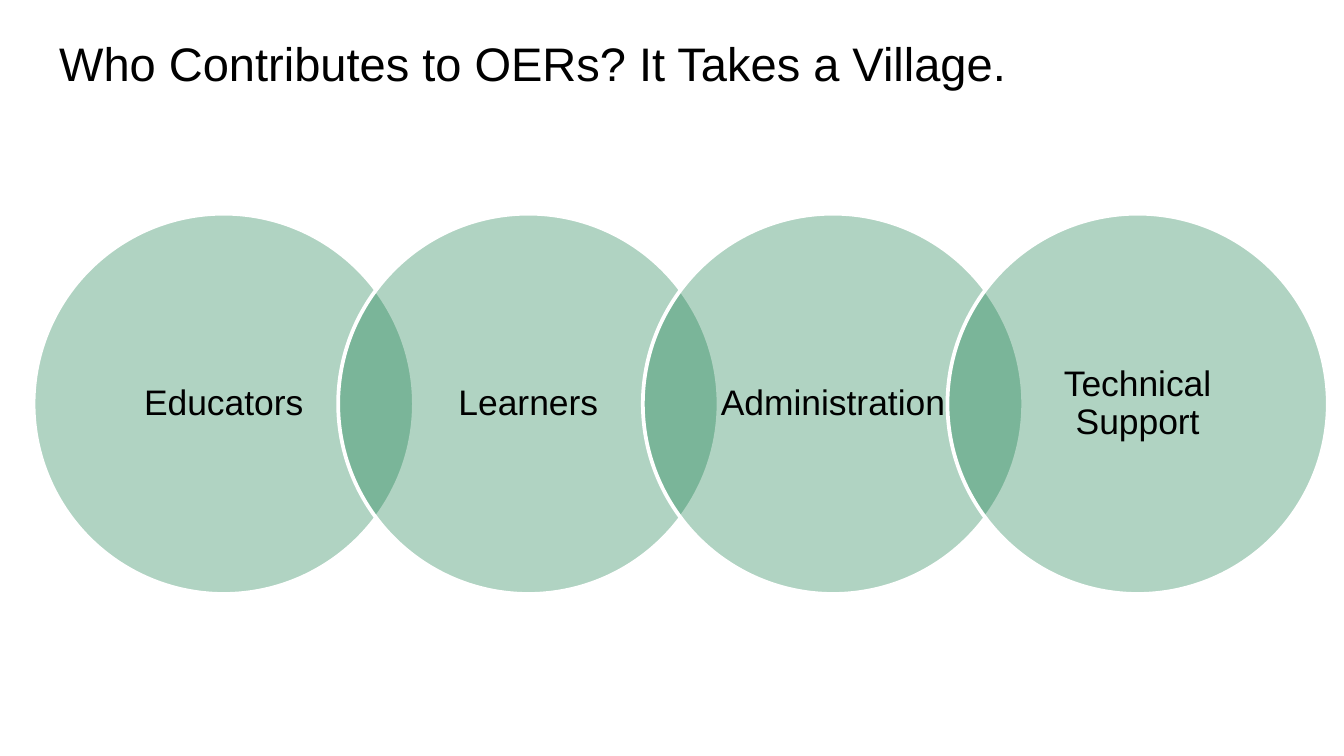
from typing import NamedTuple

from lxml import etree
from pptx import Presentation
from pptx.dml.color import RGBColor
from pptx.enum.shapes import MSO_SHAPE
from pptx.enum.text import MSO_ANCHOR, MSO_AUTO_SIZE, PP_ALIGN
from pptx.oxml.ns import qn
from pptx.shapes.group import GroupShape
from pptx.text.text import TextFrame
from pptx.util import Inches, Pt

OVAL = MSO_SHAPE.OVAL
MIDDLE, BOTTOM = MSO_ANCHOR.MIDDLE, MSO_ANCHOR.BOTTOM
LEFT, CENTER = PP_ALIGN.LEFT, PP_ALIGN.CENTER
NO_AUTOFIT = MSO_AUTO_SIZE.NONE
TITLE_ONLY = 5

BLACK, WHITE, GREEN = "000000", "FFFFFF", "0B7743"
GREEN_OPACITY = 32
FONT = "Arial"

NAMES = ["Educators", "Learners", "Administration", "Technical Support"]
DIAMETER = 2.83
LABEL_SIZE = 2
FIRST_LEFT, LAST_LEFT, CIRCLE_TOP = 0.25, 7.05, 1.59
CIRCLE_STEP = (LAST_LEFT - FIRST_LEFT) / (len(NAMES) - 1)
LABEL_INSET = (DIAMETER - LABEL_SIZE) / 2


class TextStyle(NamedTuple):
    size: float
    alignment: PP_ALIGN
    anchor: MSO_ANCHOR
    line_spacing: float
    margin_x: float
    margin_y: float


class Contributor(NamedTuple):
    name: str
    left: float


TITLE_STYLE = TextStyle(25.2, LEFT, BOTTOM, 1.0, 0.1, 0.1)
LABEL_STYLE = TextStyle(19, CENTER, MIDDLE, 0.9, 0.16, 0.03)

CONTRIBUTORS = [
    Contributor(name, FIRST_LEFT + index * CIRCLE_STEP)
    for index, name in enumerate(NAMES)
]


def color(value: str) -> RGBColor:
    return RGBColor.from_string(value)


def set_attributes(target: object, values: dict) -> None:
    for name, value in values.items():
        setattr(target, name, value)


def write_text(text_frame: TextFrame, text: str, style: TextStyle) -> None:
    text_frame.text = text
    set_attributes(text_frame, {
        "word_wrap": True,
        "auto_size": NO_AUTOFIT,
        "vertical_anchor": style.anchor,
        "margin_left": Inches(style.margin_x),
        "margin_right": Inches(style.margin_x),
        "margin_top": Inches(style.margin_y),
        "margin_bottom": Inches(style.margin_y),
    })
    paragraph = text_frame.paragraphs[0]
    set_attributes(paragraph, {
        "alignment": style.alignment,
        "line_spacing": style.line_spacing,
        "space_before": Pt(0),
    })
    font = paragraph.runs[0].font
    set_attributes(font, {"name": FONT, "size": Pt(style.size)})
    font.color.rgb = color(BLACK)


def draw_circle(group: GroupShape, contributor: Contributor) -> None:
    circle = group.shapes.add_shape(
        OVAL, Inches(contributor.left), Inches(CIRCLE_TOP),
        Inches(DIAMETER), Inches(DIAMETER))
    circle.shadow.inherit = False
    circle.fill.solid()
    circle.fill.fore_color.rgb = color(GREEN)
    fill_color = circle.fill._xPr.find(qn("a:solidFill"))[0]
    alpha = etree.SubElement(fill_color, qn("a:alpha"))
    alpha.set("val", str(GREEN_OPACITY * 1000))
    circle.line.color.rgb = color(WHITE)
    circle.line.width = Pt(2)


def draw_label(group: GroupShape, contributor: Contributor) -> None:
    label = group.shapes.add_textbox(
        Inches(contributor.left + LABEL_INSET),
        Inches(CIRCLE_TOP + LABEL_INSET),
        Inches(LABEL_SIZE), Inches(LABEL_SIZE))
    write_text(label.text_frame, contributor.name, LABEL_STYLE)


def main() -> None:
    presentation = Presentation()
    presentation.slide_width = Inches(10)
    presentation.slide_height = Inches(10 * 9 / 16)
    slide = presentation.slides.add_slide(
        presentation.slide_layouts[TITLE_ONLY])

    title = slide.shapes.title
    set_attributes(title, {
        "left": Inches(0.34),
        "top": Inches(0.15),
        "width": Inches(9.32),
        "height": Inches(0.63),
    })
    write_text(title.text_frame,
               "Who Contributes to OERs? It Takes a Village.", TITLE_STYLE)

    venn_group = slide.shapes.add_group_shape()
    for contributor in CONTRIBUTORS:
        draw_circle(venn_group, contributor)
        draw_label(venn_group, contributor)

    presentation.save("out.pptx")


if __name__ == "__main__":
    main()
